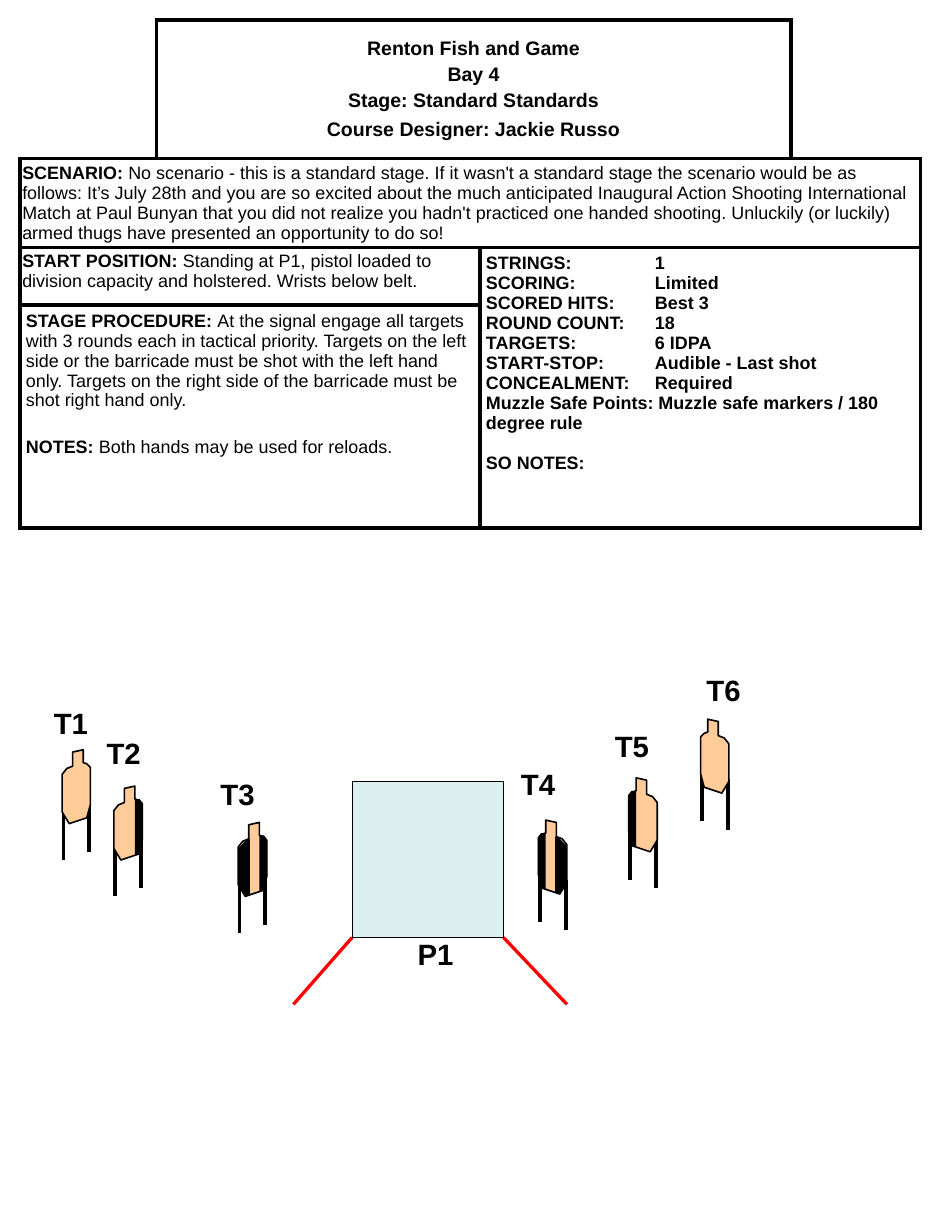
from dataclasses import dataclass
from itertools import product

from lxml.etree import SubElement
from pptx import Presentation
from pptx.dml.color import RGBColor
from pptx.enum.shapes import MSO_CONNECTOR, MSO_SHAPE
from pptx.enum.text import MSO_ANCHOR, MSO_AUTO_SIZE, PP_ALIGN
from pptx.oxml.ns import qn
from pptx.util import Pt

PX = 9144


@dataclass(frozen=True)
class Theme:
    """Colours, font and point sizes of the stage sheet."""

    font: str = "Arial"
    ink: str = "000000"
    paper: str = "FFFFFF"
    cardboard: str = "FFCC99"
    barricade: str = "BBE0E3"
    limit: str = "FF0000"
    heading: int = 12
    body: int = 11
    label: int = 18
    rule: float = 2.25
    outline: float = 1
    thin: float = 0.75
    boundary: float = 2


THEME = Theme()
COLUMNS = (116, 276, 265, 110)
ROWS = (118, 76, 49, 190)
VALUE_TAB = 144
SIDES = ("lnL", "lnR", "lnT", "lnB")

HEADING = [
    ("Renton Fish and Game", "", 0),
    ("Bay 4", "", 2.6),
    ("Stage: Standard Standards", "", 2.6),
    ("Course Designer: Jackie Russo", "", 4.4),
]
SCENARIO = [(
    "SCENARIO: ",
    "No scenario - this is a standard stage. If it wasn't a standard stage the scenario "
    "would be as follows: It’s July 28th and you are so excited about the much anticipated "
    "Inaugural Action Shooting International Match at Paul Bunyan that you did not realize "
    "you hadn't practiced one handed shooting. Unluckily (or luckily) armed thugs have "
    "presented an opportunity to do so!", 0)]
START = [(
    "START POSITION: ",
    "Standing at P1, pistol loaded to division capacity and holstered. "
    "Wrists below belt.", 0)]
FACTS = {
    "STRINGS": "1", "SCORING": "Limited", "SCORED HITS": "Best 3", "ROUND COUNT": "18",
    "TARGETS": "6 IDPA", "START-STOP": "Audible - Last shot", "CONCEALMENT": "Required",
}
SCORING = [(f"{name}:\t{value}", "", 0) for name, value in FACTS.items()] + [
    ("Muzzle Safe Points: Muzzle safe markers / 180 degree rule", "", 0),
    ("SO NOTES:", "", 12.3),
]
PROCEDURE = [
    ("STAGE PROCEDURE: ",
     "At the signal engage all targets with 3 rounds each in tactical priority. Targets on "
     "the left side or the barricade must be shot with the left hand only. Targets on the "
     "right side of the barricade must be shot right hand only.", 0),
    ("NOTES: ", "Both hands may be used for reloads.", 16.5),
]
BLOCKS = [
    ((0, 1, 1, 2), HEADING, THEME.heading, PP_ALIGN.CENTER, (5, 5)),
    ((1, 0, 1, 4), SCENARIO, THEME.body, PP_ALIGN.LEFT, (2, 4)),
    ((2, 0, 1, 2), START, THEME.body, PP_ALIGN.LEFT, (2, 3)),
    ((2, 2, 2, 2), SCORING, THEME.body, PP_ALIGN.LEFT, (5, 5)),
    ((3, 0, 1, 2), PROCEDURE, THEME.body, PP_ALIGN.LEFT, (5, 5)),
]

TARGET_WIDTH = 24
SILHOUETTE = [(9, 2), (18, 0), (18, 11), (21, 12), (24, 15), (24, 47),
              (21, 58), (6, 63), (0, 53), (0, 21), (4, 16), (9, 14)]
FAR_COVER = [(18, 11), (22, 11), (25, 15), (25, 46), (22, 57), (18, 59)]
NEAR_COVER = [(0, 54), (7, 63), (10, 62), (10, 14), (7, 15), (0, 22)]
LEGS = [(1, 51), (23, 44)]
LEG_LENGTH = 43
TARGETS = [
    ("T1", (36, 596), (53, 639), False, []),
    ("T2", (81, 622), (97, 670), False, [FAR_COVER]),
    ("T3", (178, 657), (203, 701), False, [NEAR_COVER, FAR_COVER]),
    ("T4", (434, 648), (459, 699), True, [NEAR_COVER, FAR_COVER]),
    ("T5", (514, 616), (536, 663), True, [FAR_COVER]),
    ("T6", (592, 568), (597, 613), True, []),
]


def emu(*lengths):
    """Turn px lengths into EMU."""
    return [round(length * PX) for length in lengths]


def format_font(font, size, bold):
    """Apply the theme font at a size and weight."""
    for name, value in {"name": THEME.font, "size": Pt(size), "bold": bold}.items():
        setattr(font, name, value)
    font.color.rgb = RGBColor.from_string(THEME.ink)


def write_paragraphs(frame, lines, size, align):
    """Write lines of a bold lead, a plain rest and the space before."""
    for index, (lead, rest, space) in enumerate(lines):
        paragraph = frame.add_paragraph() if index else frame.paragraphs[0]
        if "\t" in lead:
            tabs = SubElement(paragraph._p.get_or_add_pPr(), qn("a:tabLst"))
            SubElement(tabs, qn("a:tab"), pos=str(VALUE_TAB * PX), algn="l")
        paragraph.alignment = align
        if space:
            paragraph.space_before = Pt(space)
        for text, bold in ((lead, True), (rest, False)):
            if text:
                run = paragraph.add_run()
                run.text = text
                format_font(run.font, size, bold)


def set_borders(cell, visible):
    """Draw the listed sides of a cell, hide the others and fill it."""
    properties = cell._tc.get_or_add_tcPr()
    for side in SIDES:
        line = SubElement(properties, qn(f"a:{side}"), w=str(Pt(THEME.rule)))
        if side in visible:
            fill = SubElement(line, qn("a:solidFill"))
            SubElement(fill, qn("a:srgbClr"), val=THEME.ink)
        else:
            SubElement(line, qn("a:noFill"))
    cell.fill.solid()
    cell.fill.fore_color.rgb = RGBColor.from_string(THEME.paper)


def add_briefing(slide, left, top):
    """Place the briefing table with its corner at left, top."""
    box = emu(left, top, sum(COLUMNS), sum(ROWS))
    table = slide.shapes.add_table(len(ROWS), len(COLUMNS), *box).table
    table.first_row = table.horz_banding = False
    for column, width in zip(table.columns, COLUMNS):
        column.width = width * PX
    for row, height in zip(table.rows, ROWS):
        row.height = height * PX
    set_borders(table.cell(0, 0), ("lnR", "lnB"))
    set_borders(table.cell(0, 3), ("lnL", "lnB"))
    for (row, column, height, width), lines, size, align, (side, end) in BLOCKS:
        cell = table.cell(row, column)
        last_row, last_column = row + height - 1, column + width - 1
        cell.merge(table.cell(last_row, last_column))
        for r, c in product(range(row, last_row + 1), range(column, last_column + 1)):
            edges = (c == column, c == last_column, r == row, r == last_row)
            origin = (r, c) == (row, column)
            set_borders(table.cell(r, c), [s for s, e in zip(SIDES, edges) if e or origin])
        anchor = MSO_ANCHOR.MIDDLE if align == PP_ALIGN.CENTER else MSO_ANCHOR.TOP
        layout = {"margin_left": side * PX, "margin_right": side * PX,
                  "margin_top": end * PX, "margin_bottom": end * PX,
                  "vertical_anchor": anchor}
        for name, value in layout.items():
            setattr(cell, name, value)
        write_paragraphs(cell.text_frame, lines, size, align)


def add_line(shapes, start, end, color, width):
    """Draw a straight line without shadow."""
    connector = shapes.add_connector(MSO_CONNECTOR.STRAIGHT, *emu(*start, *end))
    connector.line.color.rgb = RGBColor.from_string(color)
    connector.line.width = Pt(width)
    SubElement(connector._element.spPr, qn("a:effectLst"))


def paint(shape, fill, line, width):
    """Fill and outline a shape; a width of 0 hides the outline."""
    shape.shadow.inherit = False
    shape.fill.solid()
    shape.fill.fore_color.rgb = RGBColor.from_string(fill)
    if width:
        shape.line.color.rgb = RGBColor.from_string(line)
        shape.line.width = Pt(width)
    else:
        shape.line.fill.background()


def add_label(slide, text, left, top):
    """Place a position label at left, top."""
    frame = slide.shapes.add_textbox(*emu(left, top, 58, 40)).text_frame
    frame.word_wrap = True
    frame.auto_size = MSO_AUTO_SIZE.SHAPE_TO_FIT_TEXT
    write_paragraphs(frame, [(text, "", 0)], THEME.label, PP_ALIGN.LEFT)


def add_target(slide, left, top, mirrored, covers):
    """Group the legs, silhouette and covers of one target at left, top."""
    shapes = slide.shapes.add_group_shape().shapes

    def place(x, y):
        """Map a target point onto the slide."""
        return left + (TARGET_WIDTH - x if mirrored else x), top + y

    for x, y in LEGS:
        add_line(shapes, place(x, y), place(x, y + LEG_LENGTH), THEME.ink, THEME.rule)
    parts = [(SILHOUETTE, THEME.cardboard, THEME.outline)]
    parts += [(cover, THEME.ink, 0) for cover in covers]
    for points, fill, width in parts:
        start, *others = [place(*point) for point in points]
        builder = shapes.build_freeform(*start, scale=PX)
        builder.add_line_segments(others, close=True)
        paint(builder.convert_to_shape(), fill, THEME.ink, width)


def add_barricade(slide, left, top, width, height):
    """Place the barricade with its boundary lines and position label."""
    right, bottom = left + width, top + height
    for start, end in (((left, bottom), (left - 50, bottom + 57)),
                       ((right, bottom), (right + 54, bottom + 57))):
        add_line(slide.shapes, start, end, THEME.limit, THEME.boundary)
    shape = slide.shapes.add_shape(MSO_SHAPE.RECTANGLE, *emu(left, top, width, height))
    paint(shape, THEME.barricade, THEME.ink, THEME.thin)
    color = shape._element.spPr.find(qn("a:solidFill"))[0]
    SubElement(color, qn("a:alpha"), val="50000")
    add_label(slide, "P1", left + 46, bottom - 6)


def main():
    """Build the stage sheet and save it."""
    presentation = Presentation()
    presentation.slide_width, presentation.slide_height = emu(800, 1050)
    slide = presentation.slides.add_slide(presentation.slide_layouts[6])
    add_briefing(slide, 17, 17)
    add_barricade(slide, 300, 666, 129, 133)
    for name, label, corner, mirrored, covers in TARGETS:
        add_label(slide, name, *label)
        add_target(slide, *corner, mirrored, covers)
    presentation.save("out.pptx")


if __name__ == "__main__":
    main()
